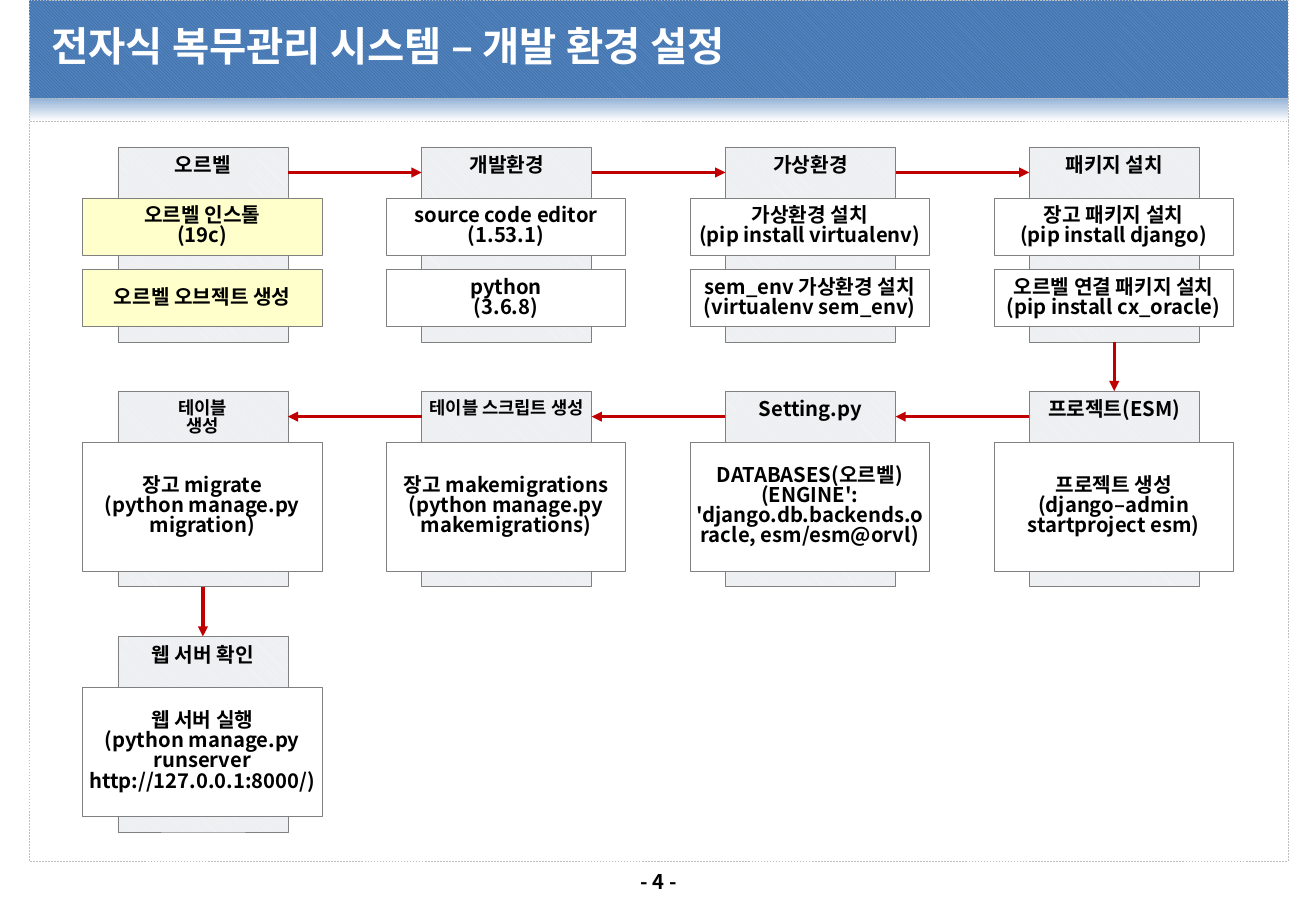
"""Build the development environment setup slide: a snaking flow of nine cards."""
from lxml import etree
from pptx import Presentation
from pptx import util as u
from pptx.dml.color import RGBColor
from pptx.enum import dml, shapes, text
from pptx.oxml.ns import qn

PX = 9144


class Theme:
    font = "Noto Sans CJK KR"
    lead = 0.83
    head, body, small = 24, 12, 10.5
    black, white, cream = "000000", "FFFFFF", "FFFFCC"
    blue, navy, sky = "4F81BD", "376092", "95B3D7"
    gray, pale, ice = "808080", "F2F2F2", "DCE6F2"
    rule, red = "BFBFBF", "C00000"


def box(x, y, w, h, line, back, fore=None):
    item = slide.shapes.add_shape(shapes.MSO_SHAPE.RECTANGLE, x * PX, y * PX, w * PX, h * PX)
    item.shadow.inherit = False
    item.line.color.rgb = RGBColor.from_string(line)
    item.line.width = u.Pt(0.25)
    if fore:
        item.fill.patterned()
        item.fill.pattern = dml.MSO_PATTERN.LIGHT_DOWNWARD_DIAGONAL
        item.fill.fore_color.rgb = RGBColor.from_string(fore)
        item.fill.back_color.rgb = RGBColor.from_string(back)
    else:
        item.fill.solid()
        item.fill.fore_color.rgb = RGBColor.from_string(back)
    return item


def write(item, lines, size, inset, color=Theme.black, wrap=False,
          anchor=text.MSO_ANCHOR.MIDDLE, align=text.PP_ALIGN.CENTER):
    frame = item.text_frame
    frame.auto_size = text.MSO_AUTO_SIZE.NONE
    frame.word_wrap = wrap
    frame.vertical_anchor = anchor
    frame.margin_left = frame.margin_right = inset[0] * PX
    frame.margin_top = frame.margin_bottom = inset[1] * PX
    for i, line in enumerate(lines):
        para = frame.add_paragraph() if i else frame.paragraphs[0]
        para.alignment = align
        para.line_spacing = Theme.lead
        run = para.add_run()
        run.text = line
        run.font.size = u.Pt(size)
        run.font.bold = True
        run.font.color.rgb = RGBColor.from_string(color)
        run.font.name = Theme.font
        etree.SubElement(run.font._element, qn("a:ea"), typeface=Theme.font)


deck = Presentation()
deck.slide_width, deck.slide_height = 1083 * PX, 750 * PX
slide = deck.slides.add_slide(deck.slide_layouts[5])

page = box(24, 100, 1036, 609, Theme.rule, Theme.white)
band = box(24, 0, 1036, 81, Theme.rule, Theme.blue, Theme.navy)
fade = box(24, 81, 1036, 19, Theme.rule, Theme.white)
fade.fill.gradient()
fade.fill.gradient_angle = 270
for stop, place, color in zip(fade.fill.gradient_stops, (0, 1), (Theme.sky, Theme.white)):
    stop.position = place
    stop.color.rgb = RGBColor.from_string(color)
for item in (page, band, fade):
    item.line.dash_style = dml.MSO_LINE.DASH

title = slide.shapes.title
title.left, title.top, title.width, title.height = 38 * PX, 8 * PX, 1009 * PX, 66 * PX
write(title, ["전자식 복무관리 시스템 – 개발 환경 설정"], Theme.head, (4, 4), Theme.white,
      wrap=True, align=text.PP_ALIGN.LEFT)
title.element.getparent().append(title.element)

number = slide.shapes.add_textbox(508 * PX, 714 * PX, 68 * PX, 30 * PX)
write(number, ["- 4 -"], Theme.body, (10, 5), anchor=text.MSO_ANCHOR.TOP)

steps = [
    (["오르벨"], Theme.body, Theme.cream,
     [["오르벨 인스톨", "(19c)"], ["오르벨 오브젝트 생성"]]),
    (["개발환경"], Theme.body, Theme.white,
     [["source code editor", "(1.53.1)"], ["python", "(3.6.8)"]]),
    (["가상환경"], Theme.body, Theme.white,
     [["가상환경 설치", "(pip install virtualenv)"],
      ["sem_env 가상환경 설치", "(virtualenv sem_env)"]]),
    (["패키지 설치"], Theme.body, Theme.white,
     [["장고 패키지 설치", "(pip install django)"],
      ["오르벨 연결 패키지 설치", "(pip install cx_oracle)"]]),
    (["프로젝트(ESM)"], Theme.body, Theme.white,
     [["프로젝트 생성", "(django–admin startproject esm)"]]),
    (["Setting.py"], Theme.body, Theme.white,
     [["DATABASES(오르벨)", "(ENGINE': 'django.db.backends.oracle, esm/esm@orvl)"]]),
    (["테이블 스크립트 생성"], Theme.small, Theme.white,
     [["장고 makemigrations", "(python manage.py makemigrations)"]]),
    (["테이블", "생성"], Theme.small, Theme.white,
     [["장고 migrate", "(python manage.py migration)"]]),
    (["웹 서버 확인"], Theme.body, Theme.white,
     [["웹 서버 실행", "(python manage.py runserver", "http://127.0.0.1:8000/)"]]),
]

cards = []
for i, (name, size, color, panels) in enumerate(steps):
    row, col = divmod(i, 4)
    if row % 2:
        col = 3 - col
    x, y = 97 + 250 * col, 121 + 403 * row // 2
    card = box(x, y, 140, 161, Theme.gray, Theme.pale, Theme.ice)
    write(card, name, size, (4, 8), anchor=text.MSO_ANCHOR.TOP)
    tall = 106 if len(panels) == 1 else 47
    for j, lines in enumerate(panels):
        panel = box(x - 29, y + 42 + 59 * j, 197, tall, Theme.gray, color)
        write(panel, lines, Theme.body, (4, 4), wrap=row > 0)
    cards.append(card)

for one, two in zip(cards, cards[1:]):
    level = one.top + 21 * PX
    start, end = one.left, two.left
    if start < end:
        start += one.width
    else:
        end += two.width
    link = slide.shapes.add_connector(shapes.MSO_CONNECTOR.STRAIGHT, start, level, end, level)
    if one.top != two.top:
        link.begin_connect(one, 2)
        link.end_connect(two, 0)
    link.line.color.rgb = RGBColor.from_string(Theme.red)
    link.line.width = u.Pt(2)
    etree.SubElement(link.line._get_or_add_ln(), qn("a:tailEnd"), type="triangle")
    etree.SubElement(link.element.spPr, qn("a:effectLst"))

deck.save("out.pptx")
